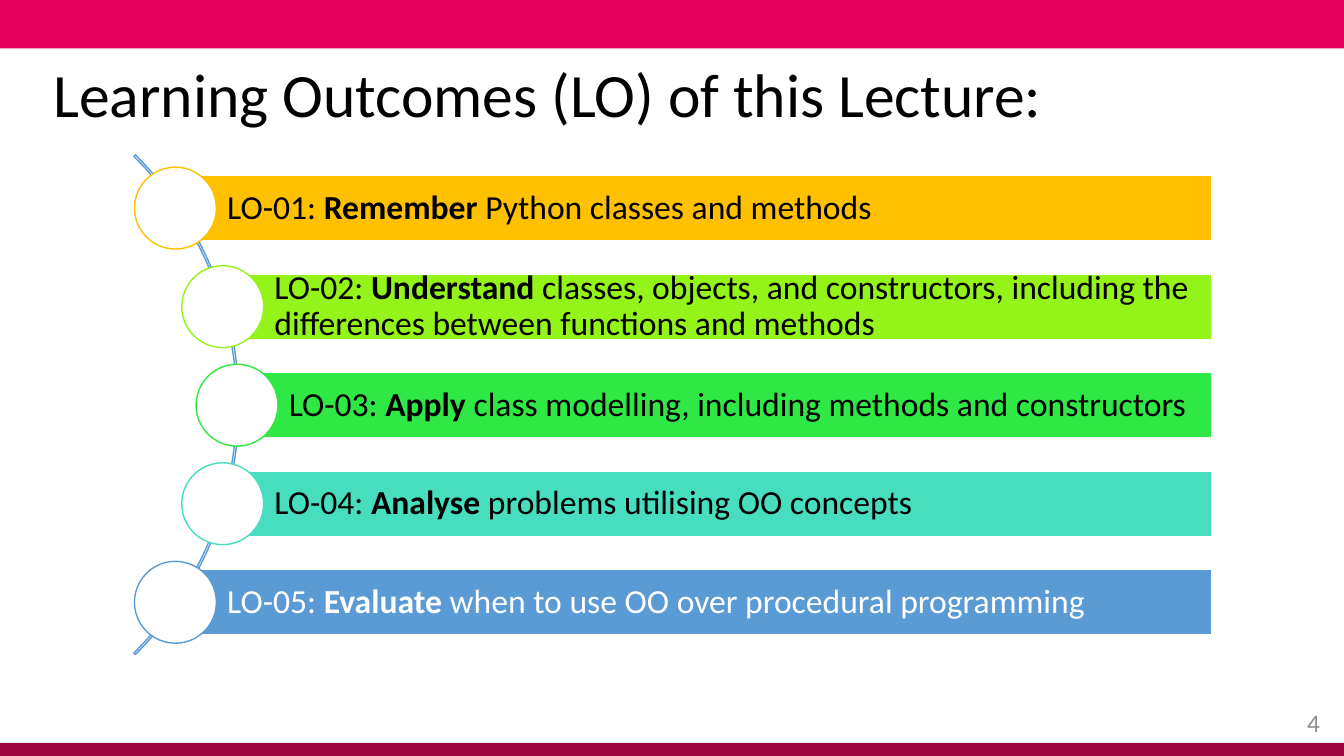
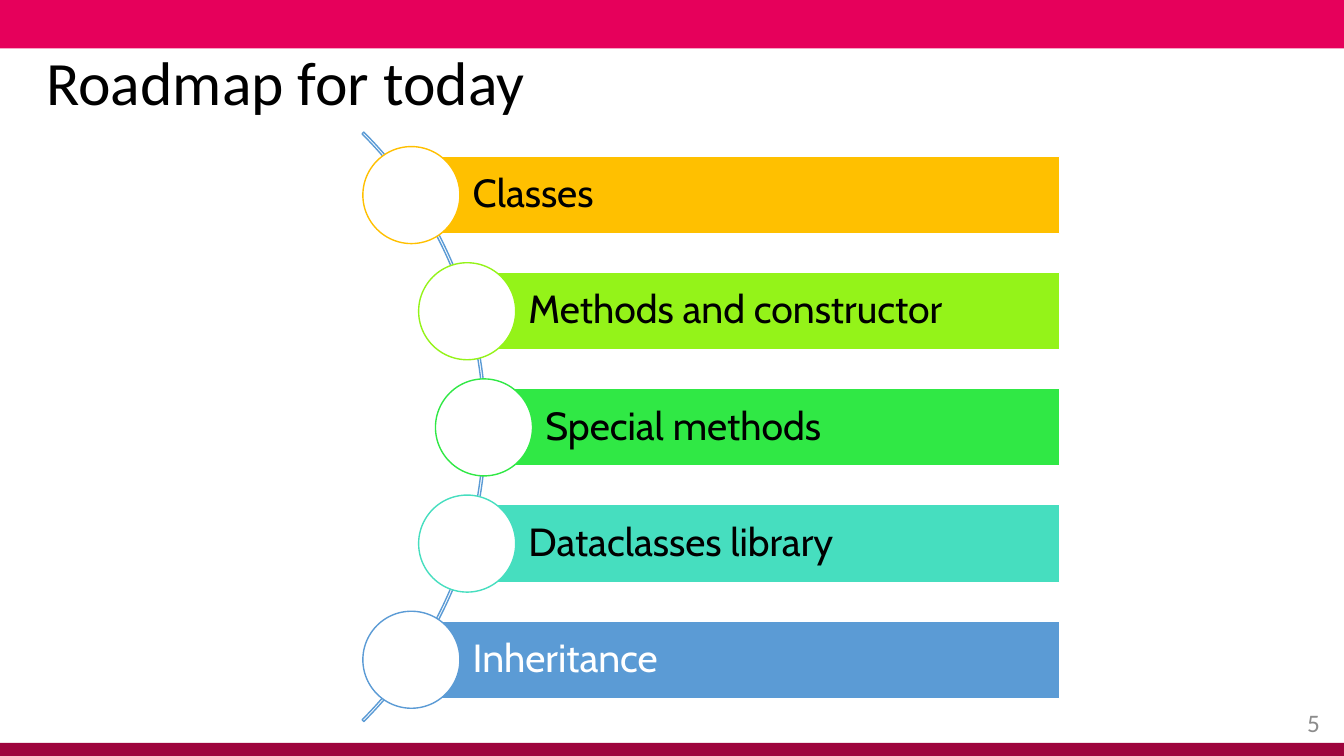
from dataclasses import dataclass
from typing import Any

from pptx import Presentation
from pptx.dml.color import RGBColor as RGB
from pptx.enum.shapes import MSO_SHAPE as SHAPE
from pptx.enum.text import MSO_ANCHOR as ANCHOR, MSO_AUTO_SIZE as FIT, PP_ALIGN as ALIGN
from pptx.util import Inches, Pt


@dataclass(frozen=True)
class Theme:
    top_band: str = "E6005B"
    bottom_band: str = "9E043D"
    ink: str = "000000"
    paper: str = "FFFFFF"
    number: str = "8C8C8C"
    curve: str = "5B9BD5"
    rows: tuple[str, ...] = ("FFC000", "94F319", "30E845", "46DEBF", "5B9BD5")
    font: str = "Calibri"
    title_pt: int = 44
    number_pt: int = 18


@dataclass(frozen=True)
class Box:
    left: float
    top: float
    width: float
    height: float

    def emu(self) -> tuple[int, ...]:
        return tuple(Inches(v) for v in (self.left, self.top, self.width, self.height))


@dataclass(frozen=True)
class CurvedList:
    """Bars along a curve; lengths in inches, odd parts of an item are bold."""
    left: float
    right: float
    first_top: float
    last_top: float
    bar: float
    arc: Box
    font: str
    size: int
    items: tuple[tuple[str, ...], ...]


@dataclass(frozen=True)
class Page:
    number: int
    title: str
    title_box: Box
    content: CurvedList


T = Theme()
WIDTH, HEIGHT = 13.33, 7.5
BANDS = ((Box(0, 0, WIDTH, 0.48), T.top_band), (Box(0, 7.37, WIDTH, 0.13), T.bottom_band))
NUMBER_BOX = Box(10.94, 6.97, 2.25, 0.4)
INDENTS = (0, 0.48, 0.625, 0.48, 0)  # share of the row pitch
RING = 1.25                          # ring diameter per bar height
ARC_ADJUSTMENTS = (189, 27, 0.003)

PAGES = (
    Page(4, "Learning Outcomes (LO) of this Lecture:", Box(0.43, 0.59, 12.36, 1.1),
         CurvedList(1.74, 12.02, 1.74, 5.65, 0.65, Box(-4.64, 0.51, 7.01, 7.01), T.font, 24, (
             ("LO-01: ", "Remember", " Python classes and methods"),
             ("LO-02: ", "Understand", " classes, objects, and constructors, including the "
              "differences between functions and methods"),
             ("LO-03: ", "Apply", " class modelling, including methods and constructors"),
             ("LO-04: ", "Analyse", " problems utilising OO concepts"),
             ("LO-05: ", "Evaluate", " when to use OO over procedural programming")))),
    Page(5, "Roadmap for today", Box(0.36, 0.47, 9.87, 1.1),
         CurvedList(4.08, 10.51, 1.55, 6.16, 0.77, Box(-3.45, 0.1, 8.27, 8.27), "Cabin", 28, (
             ("Classes",), ("Methods and constructor",), ("Special methods",),
             ("Dataclasses library",), ("Inheritance",)))),
)


def set_all(target: Any, values: dict[str, Any]) -> None:
    for name, value in values.items():
        setattr(target, name, value)


def add_shape(shapes: Any, kind: SHAPE, box: Box, fill: str | None, line: str | None) -> Any:
    sp = shapes.add_shape(kind, *box.emu())
    sp.shadow.inherit = False
    if fill:
        sp.fill.solid()
        sp.fill.fore_color.rgb = RGB.from_string(fill)
    else:
        sp.fill.background()
    if line:
        sp.line.color.rgb = RGB.from_string(line)
        sp.line.width = Pt(1)
    else:
        sp.line.fill.background()
    return sp


def write(tf: Any, parts: tuple[str, ...], font: str, size: int, color: str,
          frame: dict[str, Any], paragraph: dict[str, Any]) -> None:
    set_all(tf, {"word_wrap": True, "auto_size": FIT.NONE} | frame)
    p = tf.paragraphs[0]
    set_all(p, paragraph)
    for i, part in enumerate(parts):
        r = p.add_run()
        r.text = part
        set_all(r.font, {"name": font, "size": Pt(size), "bold": i % 2 == 1})
        r.font.color.rgb = RGB.from_string(color)


def add_bands(s: Any) -> None:
    """Draw the bands and hand them to the slide's layout, which all slides use."""
    tree = s.slide_layout.shapes.element
    for box, color in BANDS:
        tree.append(add_shape(s.shapes, SHAPE.RECTANGLE, box, color, None).element)


def add_curved_list(s: Any, c: CurvedList) -> None:
    shapes = s.shapes.add_group_shape().shapes
    arc = add_shape(shapes, SHAPE.BLOCK_ARC, c.arc, None, T.curve)
    for i, value in enumerate(ARC_ADJUSTMENTS):
        arc.adjustments[i] = value

    pitch = (c.last_top - c.first_top) / (len(c.items) - 1)
    ring = RING * c.bar
    pad = Inches(0.1 * c.bar)
    frame = {"vertical_anchor": ANCHOR.MIDDLE, "margin_left": Inches(0.79 * c.bar),
             "margin_top": pad, "margin_right": pad, "margin_bottom": pad}
    for i, (item, color, indent) in enumerate(zip(c.items, T.rows, INDENTS)):
        left, top = c.left + indent * pitch, c.first_top + i * pitch
        bar = add_shape(shapes, SHAPE.RECTANGLE, Box(left, top, c.right - left, c.bar),
                        color, T.paper)
        ink = T.paper if color == T.curve else T.ink
        write(bar.text_frame, item, c.font, c.size, ink, frame,
              {"alignment": ALIGN.LEFT, "line_spacing": 0.9})
        ring_box = Box(left - ring / 2, top + (c.bar - ring) / 2, ring, ring)
        add_shape(shapes, SHAPE.OVAL, ring_box, T.paper, color)


def add_page(prs: Any, page: Page) -> Any:
    s = prs.slides.add_slide(prs.slide_layouts[5])
    # Title
    title = s.shapes.title
    set_all(title, dict(zip(("left", "top", "width", "height"), page.title_box.emu())))
    write(title.text_frame, (page.title,), T.font, T.title_pt, T.ink,
          {"vertical_anchor": ANCHOR.TOP}, {"alignment": ALIGN.LEFT, "line_spacing": 0.9})
    # Slide number
    number = s.shapes.add_textbox(*NUMBER_BOX.emu())
    write(number.text_frame, (str(page.number),), T.font, T.number_pt, T.number,
          {"vertical_anchor": ANCHOR.MIDDLE}, {"alignment": ALIGN.RIGHT})
    # Content
    add_curved_list(s, page.content)
    return s


def main() -> None:
    prs = Presentation()
    set_all(prs, {"slide_width": Inches(WIDTH), "slide_height": Inches(HEIGHT)})
    slides = [add_page(prs, page) for page in PAGES]
    add_bands(slides[0])
    prs.save("out.pptx")


if __name__ == "__main__":
    main()
